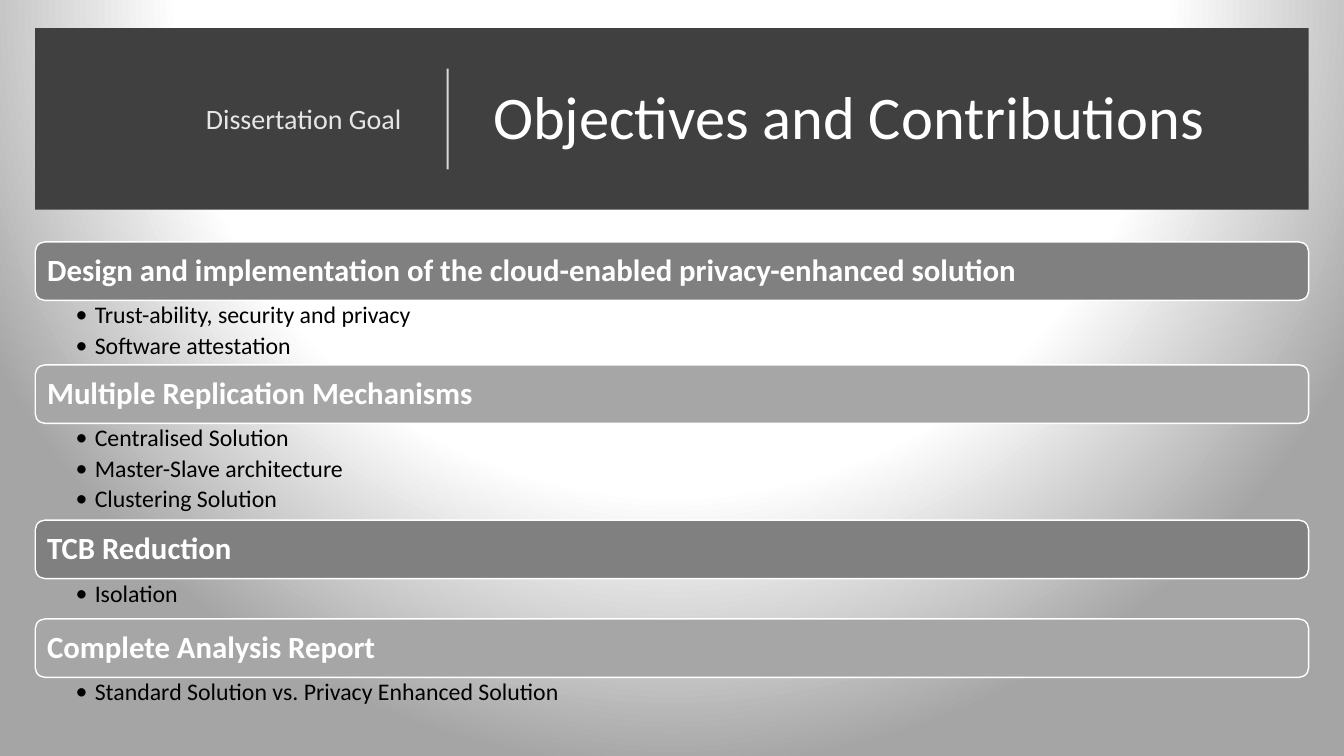
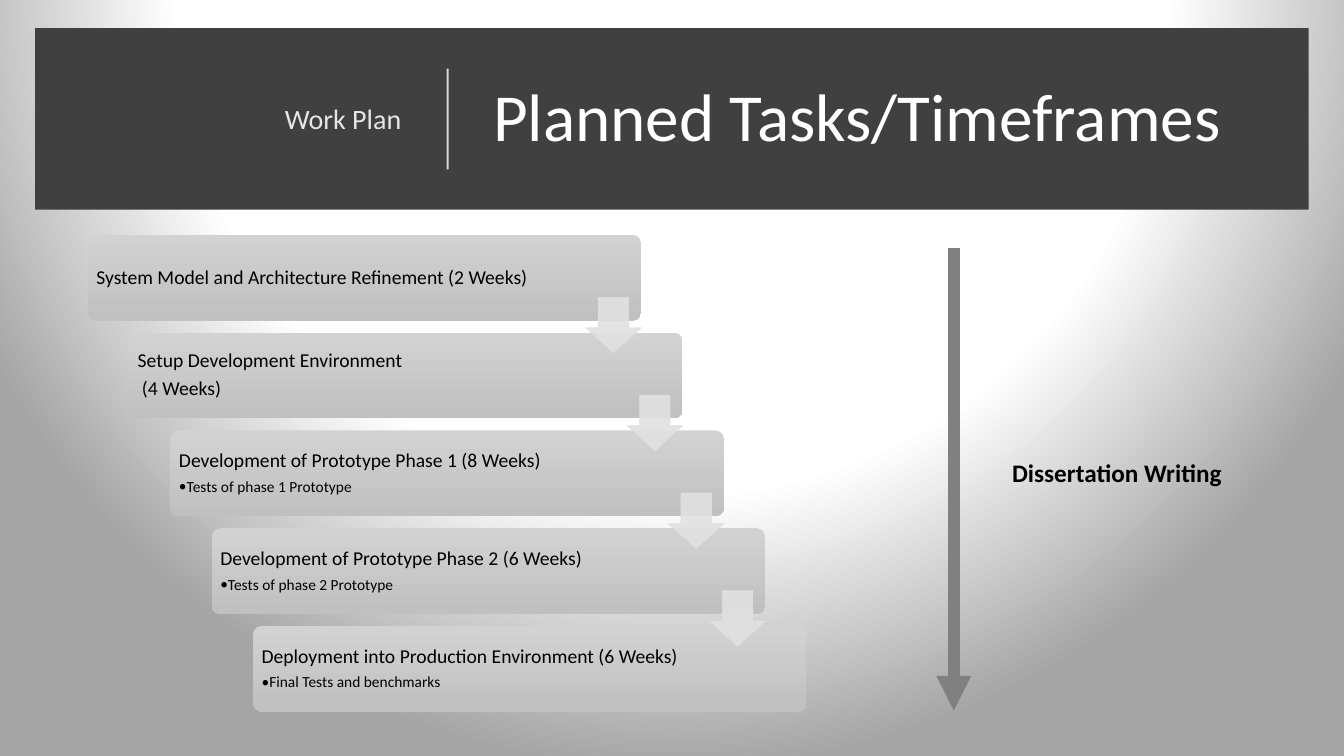
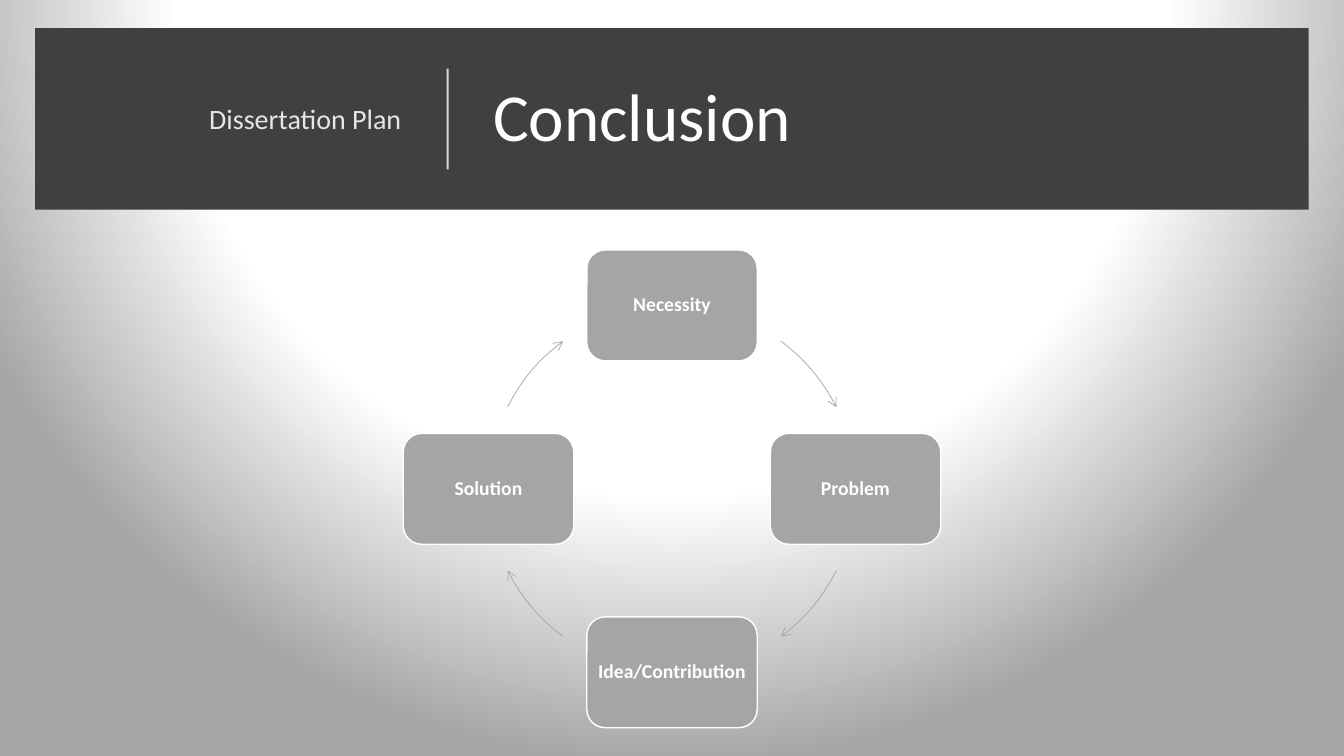
from dataclasses import dataclass
import math

from lxml import etree
from pptx import Presentation, util as u
from pptx.dml.color import RGBColor
from pptx.enum import shapes, text
from pptx.oxml import parse_xml
from pptx.oxml.ns import nsdecls, qn


@dataclass(frozen=True)
class Theme:
    font: str = "Calibri"
    white: str = "FFFFFF"
    black: str = "000000"
    band: str = "404040"
    subtitle: str = "E7E6E6"
    dark: str = "808080"
    light: str = "A6A6A6"
    node: str = "A5A5A5"
    step_top: str = "D2D2D2"
    step_bottom: str = "C0C0C0"
    step_arrow: str = "E1E1E1"
    title_size: float = 48
    heading_size: float = 22
    subtitle_size: float = 20
    label_size: float = 18
    list_size: float = 17
    step_size: float = 14
    detail_size: float = 11


THEME = Theme()
WIDTH, HEIGHT = 13.33, 7.5
MARGIN = 0.35
CONTENT = WIDTH - 2 * MARGIN
LEFT, CENTER, RIGHT = text.PP_ALIGN.LEFT, text.PP_ALIGN.CENTER, text.PP_ALIGN.RIGHT
MIDDLE, TOP = text.MSO_ANCHOR.MIDDLE, text.MSO_ANCHOR.TOP
SHAPE = shapes.MSO_SHAPE


def inches(*lengths):
    return [u.Inches(length) for length in lengths]


def rgb(color):
    return RGBColor.from_string(color)


def set_frame(frame, insets=(0.1, 0.05, 0.1, 0.05), anchor=MIDDLE, wrap=True):
    frame.word_wrap = wrap
    frame.auto_size = text.MSO_AUTO_SIZE.NONE
    frame.vertical_anchor = anchor
    (frame.margin_left, frame.margin_top,
     frame.margin_right, frame.margin_bottom) = inches(*insets)
    return frame


def add_para(frame, words, size, color=THEME.black, bold=False, align=LEFT,
             spacing=0.9, after=0, bullet=0):
    """Append a paragraph; after is a share of the size, bullet a hanging indent."""
    para = frame.add_paragraph() if frame.text else frame.paragraphs[0]
    para.alignment = align
    para.line_spacing = spacing
    para.space_before = u.Pt(0)
    para.space_after = u.Pt(round(size * after, 2))
    if bullet:
        props = para._p.get_or_add_pPr()
        props.set("marL", str(u.Inches(bullet)))
        props.set("indent", str(-u.Inches(bullet)))
        etree.SubElement(props, qn("a:buFont"), typeface=THEME.font)
        etree.SubElement(props, qn("a:buChar"), char="•")
    para.font.name, para.font.size = THEME.font, u.Pt(size)
    span = para.add_run()
    span.text = words
    span.font.name, span.font.size, span.font.bold = THEME.font, u.Pt(size), bold
    span.font.color.rgb = rgb(color)


def add_text_box(page, place, **frame_format):
    box = page.shapes.add_textbox(*inches(*place))
    return set_frame(box.text_frame, **frame_format)


def set_line(line, color, width):
    line.color.rgb = rgb(color)
    line.width = u.Pt(width)


def add_block(page, kind, place, fill=None, line=None, width=1, adjust=()):
    """Add a preset shape; a pair of fill colours runs from top to bottom."""
    block = page.shapes.add_shape(kind, *inches(*place))
    block.shadow.inherit = False
    if isinstance(fill, tuple):
        block.fill.gradient()
        block.fill.gradient_angle = 270
        for stop, color in zip(block.fill.gradient_stops, fill):
            stop.color.rgb = rgb(color)
    elif fill:
        block.fill.solid()
        block.fill.fore_color.rgb = rgb(fill)
    else:
        block.fill.background()
    if line:
        set_line(block.line, line, width)
    else:
        block.line.fill.background()
    for index, value in enumerate(adjust):
        block.adjustments[index] = value
    return block


def add_line(page, start, end, color, width):
    line = page.shapes.add_connector(shapes.MSO_CONNECTOR.STRAIGHT, *inches(*start, *end))
    set_line(line.line, color, width)
    etree.SubElement(line.element.spPr, qn("a:effectLst"))
    return line


def set_opacity(shape, percent):
    for color in shape.element.spPr.iter(qn("a:srgbClr")):
        etree.SubElement(color, qn("a:alpha"), val=str(percent * 1000))


def set_arrowhead(shape, kind):
    outline = shape.element.spPr.find(qn("a:ln"))
    etree.SubElement(outline, qn("a:tailEnd"), type=kind)


def set_background(master):
    """Give every slide the radial white-to-grey background."""
    tree = master.element.cSld
    for old in tree.findall(qn("p:bg")):
        tree.remove(old)
    tree.insert(0, parse_xml(
        f'<p:bg {nsdecls("p", "a")}><p:bgPr><a:gradFill><a:gsLst>'
        f'<a:gs pos="0"><a:srgbClr val="{THEME.white}"/></a:gs>'
        f'<a:gs pos="64000"><a:srgbClr val="{THEME.white}"><a:alpha val="44000"/></a:srgbClr></a:gs>'
        f'<a:gs pos="100000"><a:srgbClr val="{THEME.node}"/></a:gs></a:gsLst>'
        '<a:path path="circle"><a:fillToRect l="50000" t="-80000" r="50000" b="180000"/></a:path>'
        '</a:gradFill><a:effectLst/></p:bgPr></p:bg>'))


def add_page(deck, title, subtitle, title_size=THEME.title_size):
    page = deck.slides.add_slide(deck.slide_layouts.get_by_name("Title Only"))
    band = add_block(page, SHAPE.RECTANGLE, (MARGIN, 0.28, CONTENT, 1.8), THEME.band)
    page.shapes.element.insert(2, band.element)  # behind the title

    heading = page.shapes.title
    heading.left, heading.top, heading.width, heading.height = inches(4.79, 0.5, 7.63, 1.38)
    add_para(set_frame(heading.text_frame), title, title_size, THEME.white)
    add_para(add_text_box(page, (0.92, 0.5, 3.16, 1.38)), subtitle,
             THEME.subtitle_size, THEME.subtitle, align=RIGHT)
    set_opacity(add_line(page, (4.44, 1.68), (4.44, 0.68), THEME.white, 1.5), 80)
    return page


def add_sections(page, sections):
    """Stack headed lists, each bar followed by its bullets."""
    top, bar_height, line_height = 2.4, 0.58, 0.32
    for index, (heading, items) in enumerate(sections):
        bar = add_block(page, SHAPE.ROUNDED_RECTANGLE, (MARGIN, top, CONTENT, bar_height),
                        (THEME.dark, THEME.light)[index % 2], THEME.white)
        add_para(set_frame(bar.text_frame, insets=(0.09,) * 4), heading,
                 THEME.heading_size, THEME.white, bold=True, after=0.35)
        list_height = max(0.4, line_height * len(items))
        frame = add_text_box(page, (MARGIN, top + bar_height, CONTENT, list_height),
                             insets=(0.4, 0.03, 0.17, 0.03), anchor=TOP)
        for item in items:
            add_para(frame, item, THEME.list_size, after=0.2, bullet=0.19)
        top += bar_height + list_height


def add_staircase(page, steps):
    left, top, width, height = 0.87, 2.33, 5.49, 0.85
    across, down, arrow = 0.41, 0.97, 0.55
    corners = [(left + i * across, top + i * down) for i in range(len(steps))]
    for (x, y), (lines, details) in zip(corners, steps):
        step = add_block(page, SHAPE.ROUNDED_RECTANGLE, (x, y, width, height),
                         (THEME.step_top, THEME.step_bottom), adjust=(0.1,))
        frame = set_frame(step.text_frame, insets=(0.06,) * 4)
        for line in lines:
            add_para(frame, line, THEME.step_size, after=0.35)
        for detail in details:
            add_para(frame, detail, THEME.detail_size, after=0.15, bullet=0.06)
    for x, y in corners[:-1]:
        pointer = add_block(page, SHAPE.DOWN_ARROW,
                            (x + width - arrow, y + 0.62, arrow, arrow),
                            THEME.step_arrow, THEME.step_arrow, 0.5, adjust=(0.55, 0.45))
        set_opacity(pointer, 90)


def add_cycle(page, names):
    """Place four nodes clockwise on a circle, with an arc arrow after each."""
    center_x, center_y, radius = WIDTH / 2, 4.85, 1.82
    width, height = 1.69, 1.1
    half_sweep = 13.6
    degree = 0.6  # one degree in the units of an arc's adjustments
    ring = (center_x - radius, center_y - radius, 2 * radius, 2 * radius)

    for index, (name, middle) in enumerate(zip(names, (320, 40, 140, 220))):
        angle = math.radians(90 * index)
        x = center_x + radius * math.sin(angle)
        y = center_y - radius * math.cos(angle)
        node = add_block(page, SHAPE.ROUNDED_RECTANGLE,
                         (x - width / 2, y - height / 2, width, height),
                         THEME.node, THEME.white)
        add_para(set_frame(node.text_frame, insets=(0.04, 0.06, 0.04, 0.06)), name,
                 THEME.step_size, THEME.white, bold=True, align=CENTER, after=0.35)
        arc = add_block(page, SHAPE.ARC, ring, line=THEME.node, width=0.5,
                        adjust=((middle - half_sweep) * degree,
                                (middle + half_sweep) * degree))
        set_arrowhead(arc, "arrow")


def main():
    deck = Presentation()
    deck.slide_width, deck.slide_height = inches(WIDTH, HEIGHT)
    set_background(deck.slide_master)

    objectives = add_page(deck, "Objectives and Contributions", "Dissertation Goal", 43.2)
    add_sections(objectives, [
        ("Design and implementation of the cloud-enabled privacy-enhanced solution",
         ["Trust-ability, security and privacy", "Software attestation"]),
        ("Multiple Replication Mechanisms",
         ["Centralised Solution", "Master-Slave architecture", "Clustering Solution"]),
        ("TCB Reduction", ["Isolation"]),
        ("Complete Analysis Report", ["Standard Solution vs. Privacy Enhanced Solution"]),
    ])

    plan = add_page(deck, "Planned Tasks/Timeframes", "Work Plan")
    add_staircase(plan, [
        (["System Model and Architecture Refinement (2 Weeks)"], []),
        (["Setup Development Environment", " (4 Weeks)"], []),
        (["Development of Prototype Phase 1 (8 Weeks)"], ["Tests of phase 1 Prototype"]),
        (["Development of Prototype Phase 2 (6 Weeks)"], ["Tests of phase 2 Prototype"]),
        (["Deployment into Production Environment (6 Weeks)"], ["Final Tests and benchmarks"]),
    ])
    set_arrowhead(add_line(plan, (9.46, 2.46), (9.46, 7.05), THEME.dark, 8.25), "triangle")
    add_para(add_text_box(plan, (9.94, 4.49, 2.3, 0.4), anchor=TOP, wrap=False),
             "Dissertation Writing", THEME.label_size, bold=True, spacing=1.0)

    conclusion = add_page(deck, "Conclusion", "Dissertation Plan")
    add_cycle(conclusion, ["Necessity", "Problem", "Idea/Contribution", "Solution"])

    deck.save("out.pptx")


if __name__ == "__main__":
    main()
